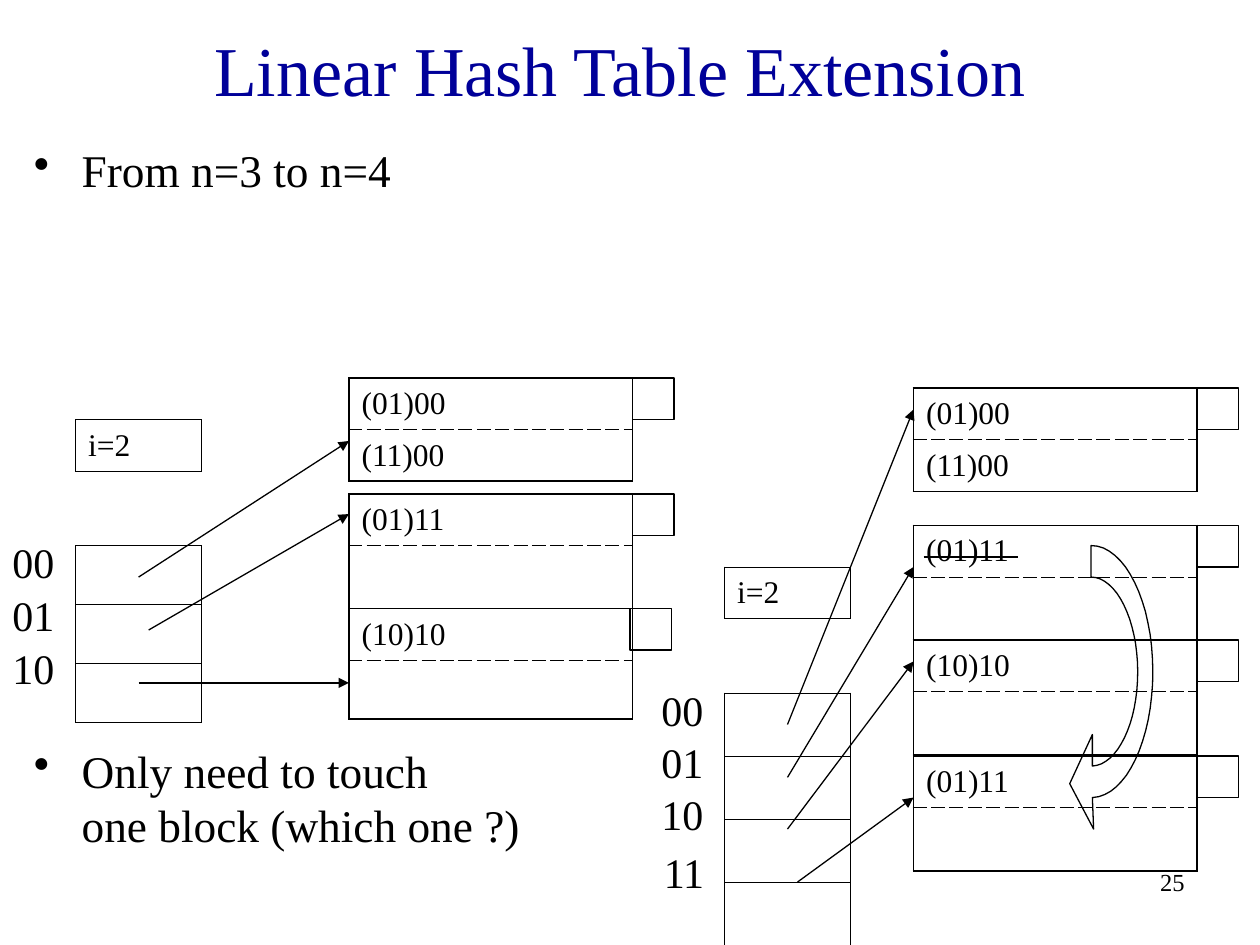
from dataclasses import dataclass
from lxml import etree
from pptx import Presentation
from pptx import util as u
from pptx.dml.color import RGBColor
from pptx.enum import shapes, text
from pptx.oxml.ns import qn


@dataclass(frozen=True)
class Theme:
    font: str = "Times New Roman"
    ink: str = "000000"
    title_ink: str = "000099"
    title: float = 40
    body: float = 25.9
    label: float = 24
    cell: float = 18
    number: float = 14
    line: float = 0.75
    block_line: float = 1.08
    thin_line: float = 0.45


T = Theme()
ROW = 0.41
BLOCK_W = 2.25
OVERFLOW = 0.33
UNITS = 1000


def add_run(p, words, size, color=T.ink):
    r = p.add_run()
    r.text = words
    r.font.size = u.Pt(size)
    r.font.name = T.font
    r.font.color.rgb = RGBColor.from_string(color)


def add_label(s, words, x, y, w=0.53, size=T.label, align=text.PP_ALIGN.LEFT):
    sp = s.shapes.add_textbox(u.Inches(x), u.Inches(y), u.Inches(w), u.Inches(0.5))
    tf = sp.text_frame
    tf.word_wrap = False
    p = tf.paragraphs[0]
    p.alignment = align
    add_run(p, words, size)


def add_title(s, words):
    sp = s.shapes.title
    sp.left, sp.top, sp.width, sp.height = map(u.Inches, (0.17, 0.17, 9.5, 0.75))
    tf = sp.text_frame
    tf.vertical_anchor = text.MSO_ANCHOR.MIDDLE
    p = tf.paragraphs[0]
    p.alignment = text.PP_ALIGN.CENTER
    add_run(p, words, T.title, T.title_ink)


def add_bullets(s, items):
    sp = s.shapes.add_textbox(*map(u.Inches, (0.17, 1.08, 9.5, 5.92)))
    tf = sp.text_frame
    tf.word_wrap = True
    for i, (lines, gap) in enumerate(items):
        p = tf.add_paragraph() if i else tf.paragraphs[0]
        pPr = p._p.get_or_add_pPr()
        pPr.set("marL", str(u.Inches(0.38)))
        pPr.set("indent", str(u.Inches(-0.38)))
        etree.SubElement(pPr, qn("a:buChar")).set("char", "•")
        if gap:
            p.space_before = u.Pt(gap)
        for n, words in enumerate(lines):
            if n:
                p.add_line_break()
            add_run(p, words, T.body)


def set_border(tcPr, side, width, dash):
    ln = etree.SubElement(tcPr, qn("a:ln" + side), w=str(u.Pt(width)))
    fill = etree.SubElement(ln, qn("a:solidFill"))
    etree.SubElement(fill, qn("a:srgbClr"), val=T.ink)
    etree.SubElement(ln, qn("a:prstDash"), val=dash)


def add_column(s, x, y, w, rows, empty_size, block=False):
    frame = s.shapes.add_table(len(rows), 1, u.Inches(x), u.Inches(y),
                               u.Inches(w), u.Inches(ROW * len(rows)))
    table = frame.table
    table.first_row = table.horz_banding = False
    for i, words in enumerate(rows):
        table.rows[i].height = u.Inches(ROW)
        cell = table.cell(i, 0)
        cell.vertical_anchor = text.MSO_ANCHOR.MIDDLE
        tcPr = cell._tc.get_or_add_tcPr()
        inner = {"T": i > 0, "B": i < len(rows) - 1}
        for side in "LRTB":
            dashed = block and inner.get(side, False)
            solid = T.block_line if block else T.thin_line
            set_border(tcPr, side, T.thin_line if dashed else solid,
                       "dash" if dashed else "solid")
        cell.fill.background()
        p = cell.text_frame.paragraphs[0]
        if words:
            add_run(p, words, T.cell)
        else:
            end = etree.SubElement(p._p, qn("a:endParaRPr"), sz=str(empty_size * 100))
            etree.SubElement(end, qn("a:latin"), typeface=T.font)


def outline(sp):
    sp.shadow.inherit = False
    sp.fill.background()
    sp.line.color.rgb = RGBColor.from_string(T.ink)
    sp.line.width = u.Pt(T.line)


def add_block(s, x, y, rows, empty_size=24, overflow_shift=0):
    add_column(s, x, y, BLOCK_W, rows, empty_size, block=True)
    outline(s.shapes.add_shape(
        shapes.MSO_SHAPE.RECTANGLE, u.Inches(x + BLOCK_W + overflow_shift),
        u.Inches(y), u.Inches(OVERFLOW), u.Inches(OVERFLOW)))


def add_line(s, start, end, arrow=True):
    c = s.shapes.add_connector(shapes.MSO_CONNECTOR.STRAIGHT,
                               *map(u.Inches, (*start, *end)))
    c.line.color.rgb = RGBColor.from_string(T.ink)
    c.line.width = u.Pt(T.line)
    if arrow:
        etree.SubElement(c.line._get_or_add_ln(), qn("a:tailEnd"), type="triangle")
    etree.SubElement(c._element.spPr, qn("a:effectLst"))


def curve(a, b, c, d, steps=16):
    for k in range(1, steps + 1):
        t = k / steps
        v = 1 - t
        yield tuple(v**3 * m + 3 * v * v * t * n + 3 * v * t * t * o + t**3 * q
                    for m, n, o, q in zip(a, b, c, d))


def add_move_arrow(s):
    points = [
        (8.67, 6.08),
        *curve((8.67, 6.08), (8.87, 6.07), (9.03, 5.74), (9.03, 5.33)),
        *curve((9.03, 5.33), (9.03, 4.92), (8.86, 4.58), (8.66, 4.58)),
        (8.66, 4.33),
        *curve((8.66, 4.33), (8.93, 4.33), (9.15, 4.78), (9.15, 5.33)),
        *curve((9.15, 5.33), (9.15, 5.87), (8.94, 6.32), (8.67, 6.33)),
        (8.68, 6.58), (8.49, 6.22), (8.67, 5.83),
    ]
    start, *rest = [(round(x * UNITS), round(y * UNITS)) for x, y in points]
    fb = s.shapes.build_freeform(*start, scale=u.Inches(1) / UNITS)
    fb.add_line_segments(rest, close=True)
    outline(fb.convert_to_shape())


def add_directory(s, x, y, count, empty_size):
    add_column(s, x, y, 1, [""] * count, empty_size)
    add_column(s, x, y - 1, 1, ["i=2"], empty_size)


def add_before(s):
    x = 2.77
    add_block(s, x, 3, ["(01)00", "(11)00"])
    add_block(s, x, 4.83, ["(10)10", ""], 22, overflow_shift=-0.02)
    add_block(s, x, 3.92, ["(01)11", ""])
    add_directory(s, 0.6, 4.33, 3, 22)
    for i, key in enumerate(["00", "01", "10"]):
        add_label(s, key, 0, 4.21 + 0.42 * i)
    for start, y in [((1.1, 4.58), 3.5), ((1.18, 5), 4.08), ((1.1, 5.42), 5.42)]:
        add_line(s, start, (x, y))


def add_after(s):
    x = 7.25
    blocks = [(3.08, ["(01)00", "(11)00"]), (4.17, ["(01)11", ""]),
              (5.08, ["(10)10", ""]), (6, ["(01)11", ""])]
    for y, rows in blocks:
        add_block(s, x, y, rows)
    add_directory(s, 5.75, 5.5, 4, 24)
    for key, lx, y in [("00", 5.15, 5.38), ("01", 5.15, 5.8),
                       ("10", 5.15, 6.21), ("11", 5.17, 6.67)]:
        add_label(s, key, lx, y)
    add_move_arrow(s)
    for start, y in [((6.25, 5.75), 3.25), ((6.25, 6.17), 4.5),
                     ((6.25, 6.58), 5.25), ((6.33, 7), 6.33)]:
        add_line(s, start, (x, y))
    add_line(s, (7.33, 4.42), (8.08, 4.42), arrow=False)


def main():
    prs = Presentation()
    prs.slide_width, prs.slide_height = u.Inches(10), u.Inches(7.5)
    s = prs.slides.add_slide(prs.slide_layouts[5])
    add_label(s, "25", 7.42, 6.83, 2.08, T.number, text.PP_ALIGN.RIGHT)
    add_title(s, "Linear Hash Table Extension")
    add_bullets(s, [(["From n=3 to n=4"], 0),
                    (["Only need to touch", "one block (which one ?)"], 312)])
    add_before(s)
    add_after(s)
    prs.save("out.pptx")


if __name__ == "__main__":
    main()
